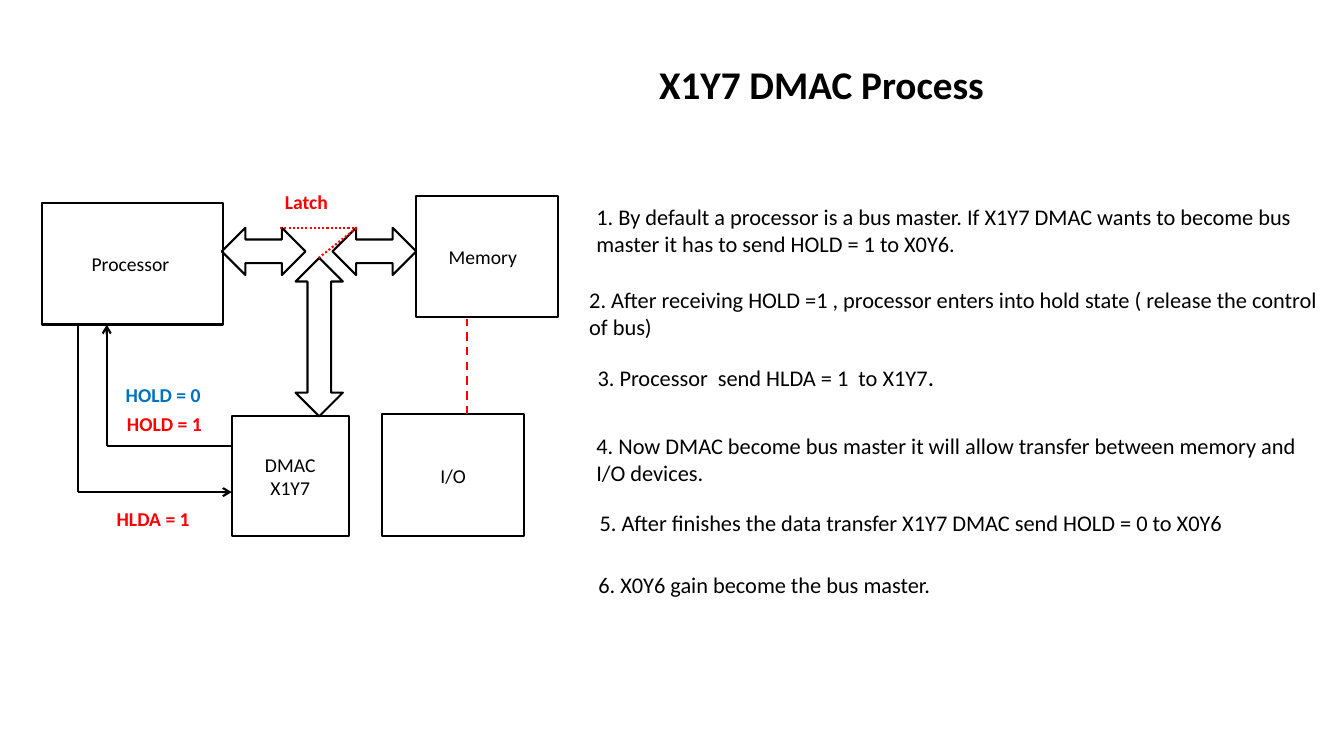
from pptx import Presentation
from pptx.dml.color import RGBColor
from pptx.enum.dml import MSO_LINE
from pptx.enum.shapes import MSO_CONNECTOR, MSO_SHAPE
from pptx.enum.text import MSO_ANCHOR, MSO_AUTO_SIZE, PP_ALIGN
from pptx.oxml.ns import qn
from pptx.util import Cm, Pt
from lxml import etree

BLACK = RGBColor(0x00, 0x00, 0x00)
RED = RGBColor(0xFF, 0x00, 0x00)
BLUE = RGBColor(0x00, 0x70, 0xC0)
FONT = "Calibri"
LINE_WIDTH = Pt(1.5)

# Content; all places are left, top, width, height in cm
TITLE = ("X1Y7 DMAC Process", (16.36, 1.4, 13.18, 1.45))

BLOCKS = [
    (["Processor "], (1.07, 5.11, 4.55, 3.07)),
    (["Memory  "], (10.49, 4.93, 3.58, 3.07)),
    (["I/O"], (9.63, 10.44, 3.58, 3.07)),
    (["DMAC", "X1Y7"], (5.84, 10.49, 2.95, 3.02)),
]

# Bus arrows: left, top, length, rotation
BUS_THICKNESS = 1.19
BUSES = [
    (5.59, 5.74, 2.11, 0),
    (8.38, 5.74, 2.11, 0),
    (6.05, 7.9, 3.99, 90),
]

# Wires: start, end, colour, dash, arrowhead at end
WIRES = [
    ((11.76, 10.44), (11.76, 8.03), RED, MSO_LINE.DASH, False),
    ((5.84, 11.23), (2.69, 11.23), BLACK, None, False),
    ((2.69, 11.23), (2.69, 8.18), BLACK, None, True),
    ((1.96, 12.4), (1.96, 8.18), BLACK, None, False),
    ((1.96, 12.4), (5.84, 12.4), BLACK, None, True),
    ((7.06, 5.74), (8.99, 5.74), RED, MSO_LINE.ROUND_DOT, False),
    ((8.03, 6.5), (8.99, 5.74), RED, MSO_LINE.ROUND_DOT, False),
]

SIGNALS = [
    ("Latch", RED, (6.93, 4.67, 2.24, 0.86)),
    ("HOLD = 0", BLUE, (2.92, 9.53, 2.64, 0.86)),
    ("HOLD = 1", RED, (2.95, 10.26, 2.64, 0.86)),
    ("HLDA = 1", RED, (2.69, 12.65, 2.69, 0.86)),
]

STEPS = [
    ("1. By default a processor is a bus master. If X1Y7 DMAC wants to become "
     "bus master it has to send HOLD = 1 to X0Y6.", (14.78, 5.0, 18.8, 1.63)),
    ("2. After receiving HOLD =1 , processor enters into hold state "
     "( release the control of bus)", (14.6, 7.09, 18.97, 1.63)),
    ("3. Processor  send HLDA = 1  to X1Y7", (14.81, 8.99, 17.83, 1.02)),
    ("4. Now DMAC become bus master it will allow transfer between memory and "
     "I/O devices.", (14.78, 10.77, 18.72, 1.63)),
    ("5. After finishes the data transfer X1Y7 DMAC send HOLD = 0 to X0Y6",
     (14.86, 12.7, 18.72, 0.94)),
    ("6. X0Y6 gain become the bus master.", (14.83, 14.27, 18.72, 0.94)),
]

prs = Presentation()
prs.slide_width, prs.slide_height = Cm(33.87), Cm(19.05)
slide = prs.slides.add_slide(prs.slide_layouts[6])
shapes = slide.shapes


def add_run(paragraph, text, size, color=BLACK, bold=False):
    run = paragraph.add_run()
    run.text = text
    run.font.name = FONT
    run.font.size = Pt(size)
    run.font.bold = bold
    run.font.color.rgb = color


def add_text(text, place, size, color=BLACK, bold=False):
    frame = shapes.add_textbox(*map(Cm, place)).text_frame
    frame.word_wrap = True
    frame.auto_size = MSO_AUTO_SIZE.SHAPE_TO_FIT_TEXT
    add_run(frame.paragraphs[0], text, size, color, bold)
    return frame.paragraphs[0]


def add_outline(kind, place):
    shape = shapes.add_shape(kind, *map(Cm, place))
    shape.shadow.inherit = False
    shape.fill.background()
    shape.line.color.rgb = BLACK
    shape.line.width = LINE_WIDTH
    return shape


def add_wire(start, end, color, dash, arrow):
    wire = shapes.add_connector(MSO_CONNECTOR.STRAIGHT, *map(Cm, start + end))
    wire.line.color.rgb = color
    wire.line.width = LINE_WIDTH
    if dash:
        wire.line.dash_style = dash
    properties = wire._element.spPr
    if arrow:
        etree.SubElement(properties.find(qn("a:ln")), qn("a:tailEnd"), type="arrow")
    etree.SubElement(properties, qn("a:effectLst"))


# Block diagram
for lines, place in BLOCKS:
    frame = add_outline(MSO_SHAPE.RECTANGLE, place).text_frame
    frame.word_wrap = True
    frame.vertical_anchor = MSO_ANCHOR.MIDDLE
    for i, text in enumerate(lines):
        paragraph = frame.add_paragraph() if i else frame.paragraphs[0]
        paragraph.alignment = PP_ALIGN.CENTER
        add_run(paragraph, text, 14)

for left, top, length, rotation in BUSES:
    bus = add_outline(MSO_SHAPE.LEFT_RIGHT_ARROW, (left, top, length, BUS_THICKNESS))
    bus.rotation = rotation

for wire in WIRES:
    add_wire(*wire)

for text, color, place in SIGNALS:
    add_text(text, place, 14, color, bold=True)

# Title and process steps
add_text(*TITLE, 28, bold=True)
step_paragraphs = [add_text(text, place, 16) for text, place in STEPS]
add_run(step_paragraphs[2], ".", 18)  # larger full stop of step 3

prs.save("out.pptx")
